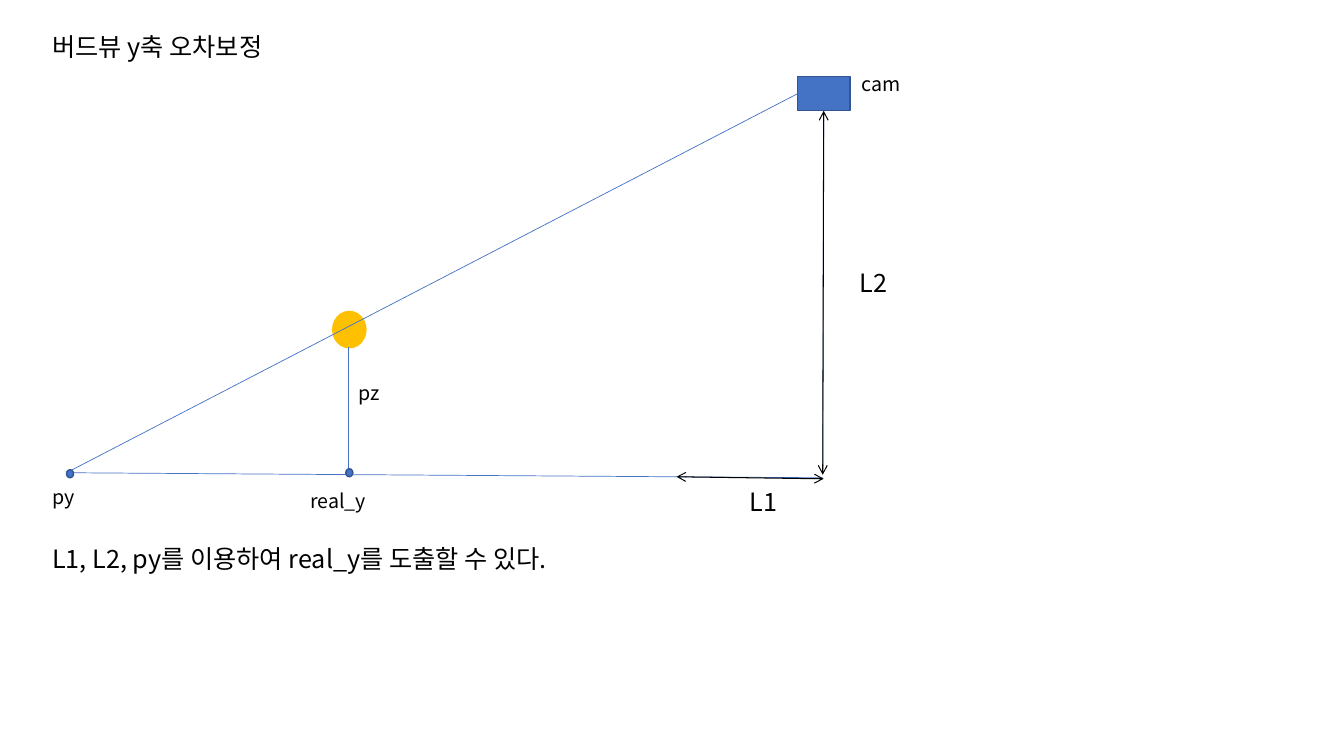
"""Builds the bird's-eye-view y-axis error correction diagram."""
from dataclasses import dataclass

from lxml.etree import SubElement
from pptx import Presentation
from pptx.dml.color import RGBColor
from pptx.enum.shapes import MSO_CONNECTOR as CONN, MSO_SHAPE as SHAPE
from pptx.oxml.ns import qn
from pptx.shapes.autoshape import Shape
from pptx.shapes.connector import Connector
from pptx.slide import Slide
from pptx.util import Inches, Pt

FONT = "Noto Sans CJK KR"
BLACK, BLUE, NAVY, GOLD = "000000", "4472C4", "325491", "FFC000"
BOTTOM, LEFT = 2, 1


@dataclass
class Label:
    text: str
    left: float
    top: float
    width: float
    height: float
    size: int


@dataclass
class Block:
    kind: SHAPE
    left: float
    top: float
    width: float
    height: float
    fill: str
    line: str


@dataclass
class Line:
    x1: float
    y1: float
    x2: float
    y2: float
    color: str = BLUE
    weight: float = 0.5
    arrows: bool = False


BALL = Block(SHAPE.OVAL, 3.3, 3.09, 0.33, 0.36, GOLD, GOLD)
CAMERA = Block(SHAPE.RECTANGLE, 7.91, 0.76, 0.52, 0.34, BLUE, NAVY)
DOTS = [Block(SHAPE.OVAL, x, y, 0.07, 0.08, BLUE, NAVY)
        for x, y in ((0.66, 4.66), (3.43, 4.65))]

PZ_LINE = Line(3.46, 3.44, 3.46, 4.69)
GROUND = Line(0.66, 4.69, 8.16, 4.74)
SIGHT = Line(0.66, 4.69, 7.91, 0.93)
HEIGHT = Line(8.17, 1.1, 8.16, 4.69)
L1_ARROW = Line(6.71, 4.73, 8.17, 4.75, BLACK, 0.75, True)
L2_ARROW = Line(8.17, 1.1, 8.16, 4.71, BLACK, 0.75, True)

LABELS = [
    Label("버드뷰 y축 오차보정", 0.42, 0.26, 4.21, 0.4, 18),
    Label("cam", 8.45, 0.66, 1.33, 0.34, 14),
    Label("real_y", 2.98, 4.8, 1.33, 0.34, 14),
    Label("py", 0.42, 4.76, 1.68, 0.34, 14),
    Label("pz", 3.46, 3.73, 1.33, 0.34, 14),
    Label("L2", 8.43, 2.6, 0.57, 0.4, 18),
    Label("L1, L2, py를 이용하여 real_y를 도출할 수 있다.", 0.42, 5.34, 11.27, 0.4, 18),
    Label("L1", 7.34, 4.78, 0.57, 0.4, 18),
]


def rgb(color: str) -> RGBColor:
    return RGBColor.from_string(color)


def add_label(s: Slide, label: Label) -> None:
    box = (label.left, label.top, label.width, label.height)
    tf = s.shapes.add_textbox(*map(Inches, box)).text_frame
    tf.word_wrap = True
    p = tf.paragraphs[0]
    p.text = label.text
    p.font.size = Pt(label.size)
    p.font.color.rgb = rgb(BLACK)
    p.font.name = FONT
    SubElement(p._p.pPr.find(qn("a:defRPr")), qn("a:ea"), typeface=FONT)


def add_block(s: Slide, block: Block) -> Shape:
    box = (block.left, block.top, block.width, block.height)
    sp = s.shapes.add_shape(block.kind, *map(Inches, box))
    sp.shadow.inherit = False
    sp.fill.solid()
    sp.fill.fore_color.rgb = rgb(block.fill)
    sp.line.color.rgb = rgb(block.line)
    sp.line.width = Pt(1)
    return sp


def add_line(s: Slide, line: Line) -> Connector:
    ends = (line.x1, line.y1, line.x2, line.y2)
    cxn = s.shapes.add_connector(CONN.STRAIGHT, *map(Inches, ends))
    cxn.line.color.rgb = rgb(line.color)
    cxn.line.width = Pt(line.weight)
    if line.arrows:
        ln = cxn.line._get_or_add_ln()
        for tag in ("a:headEnd", "a:tailEnd"):
            SubElement(ln, qn(tag), type="arrow")
    SubElement(cxn._element.spPr, qn("a:effectLst"))
    return cxn


def main() -> None:
    prs = Presentation()
    prs.slide_width, prs.slide_height = Inches(13.33), Inches(7.5)
    s = prs.slides.add_slide(prs.slide_layouts[6])

    add_block(s, BALL)
    add_line(s, PZ_LINE)
    camera = add_block(s, CAMERA)
    add_line(s, GROUND)
    add_line(s, SIGHT).end_connect(camera, LEFT)
    add_line(s, HEIGHT).begin_connect(camera, BOTTOM)
    for dot in DOTS:
        add_block(s, dot)
    add_line(s, L1_ARROW)
    add_line(s, L2_ARROW).begin_connect(camera, BOTTOM)
    for label in LABELS:
        add_label(s, label)

    prs.save("out.pptx")


if __name__ == "__main__":
    main()
